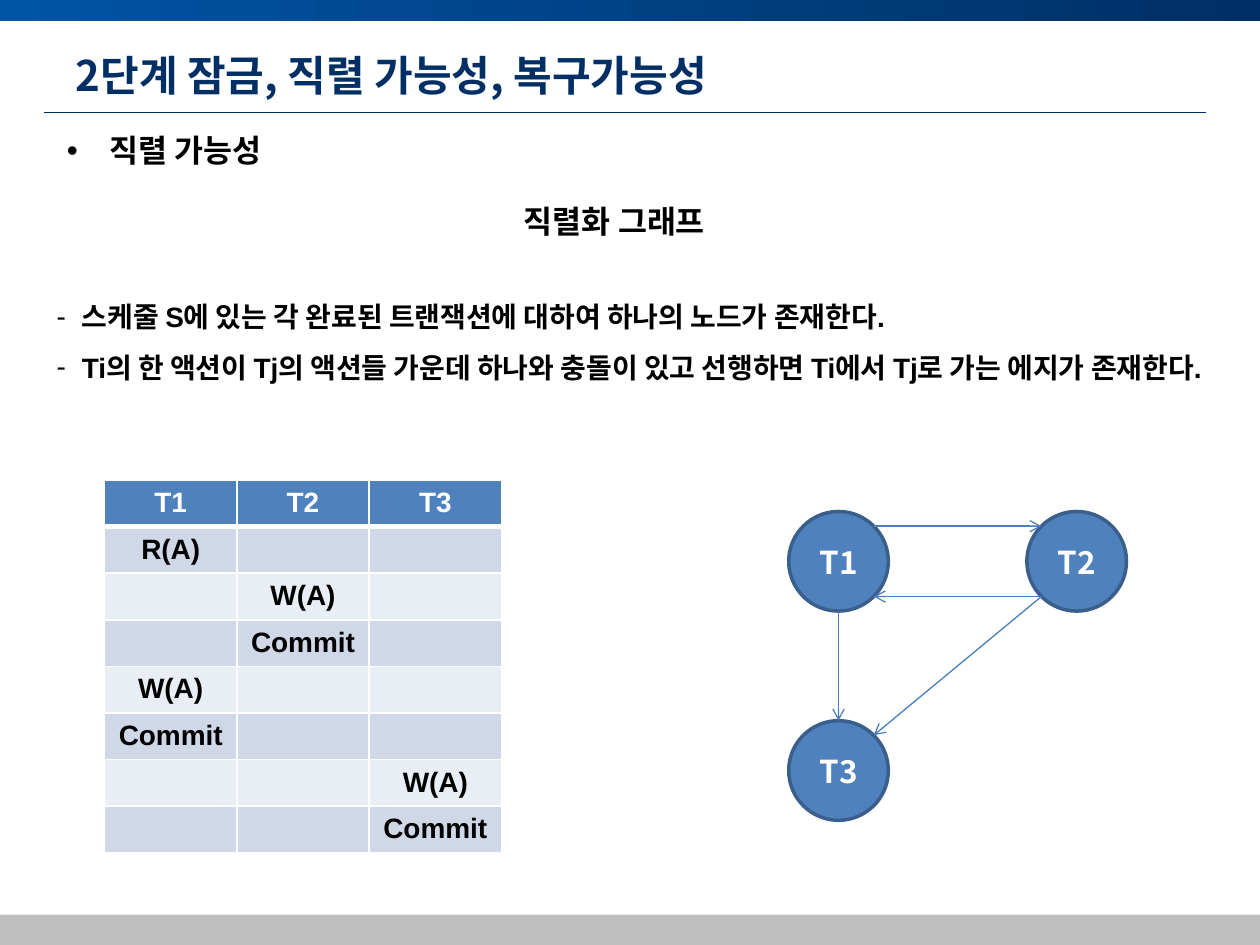
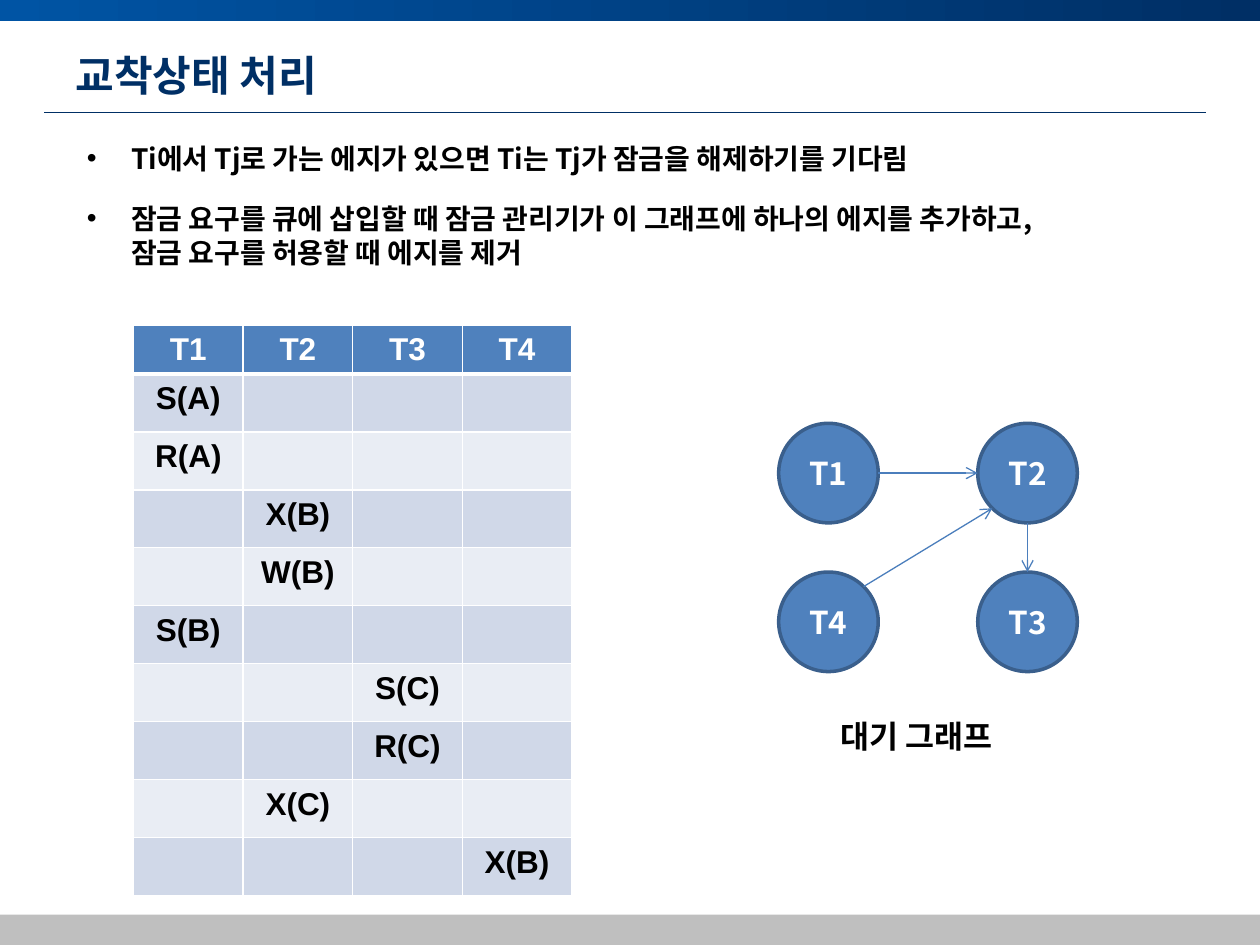
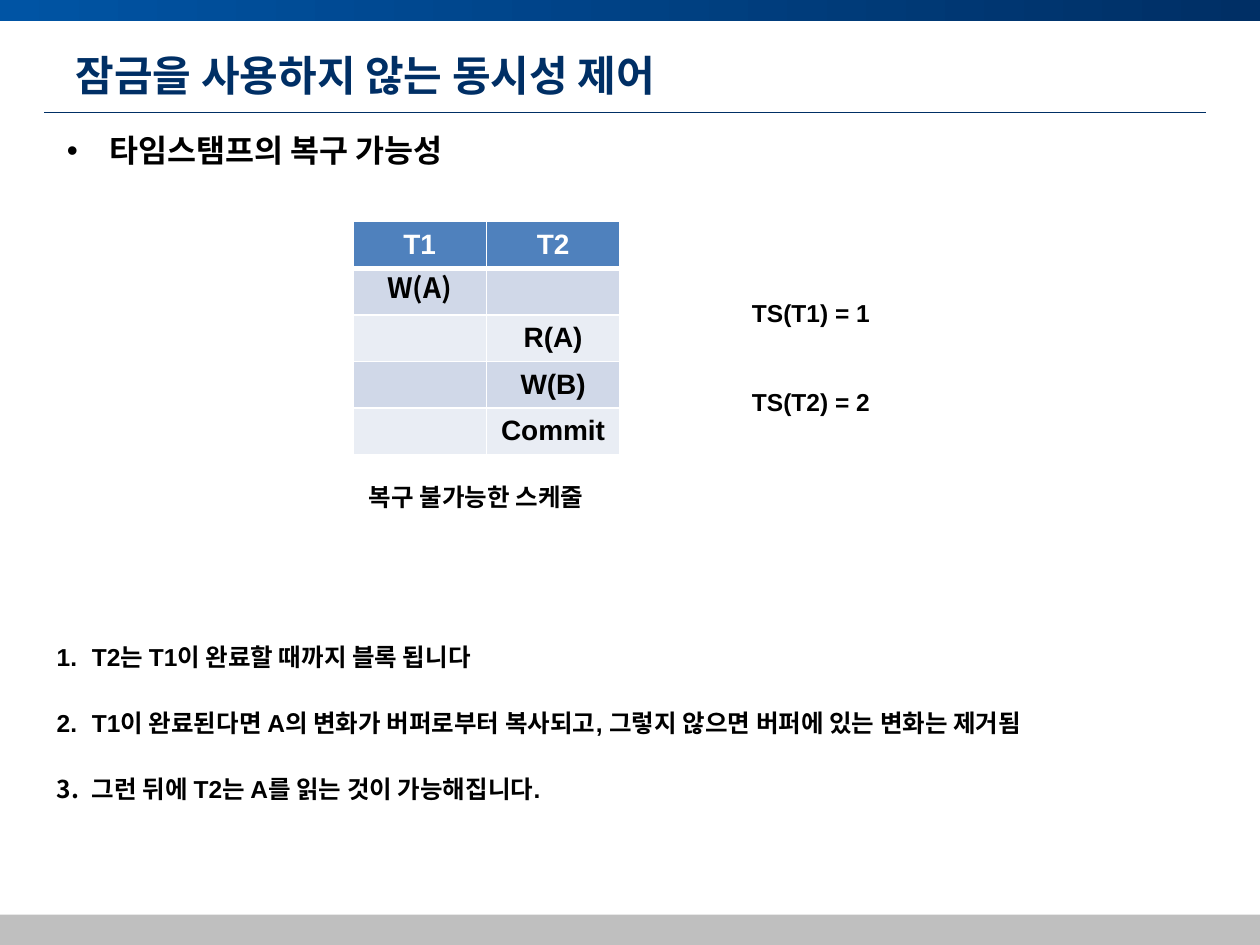
from math import cos, pi, sin
from lxml.etree import SubElement
from pptx import Presentation
from pptx.dml.color import RGBColor
from pptx.enum.shapes import MSO_CONNECTOR, MSO_SHAPE
from pptx.enum.text import MSO_ANCHOR, MSO_AUTO_SIZE, PP_ALIGN
from pptx.oxml import parse_xml
from pptx.oxml.ns import nsdecls, qn
from pptx.util import Inches, Pt

LEFT, CENTER = PP_ALIGN.LEFT, PP_ALIGN.CENTER
MIDDLE, FIXED = MSO_ANCHOR.MIDDLE, MSO_AUTO_SIZE.NONE
RECT, OVAL = MSO_SHAPE.RECTANGLE, MSO_SHAPE.OVAL
STRAIGHT = MSO_CONNECTOR.STRAIGHT

NOTO, ARIAL = "Noto Sans CJK KR", "Arial"
NAVY, BLUE, GRAY = "002F65", "0054A4", "BFBFBF"
HEAD, ODD, EVEN = "4F81BD", "D0D8E8", "E9EDF4"
RIM, EDGE, BLACK, WHITE = "3A5F8C", "4B7EBC", "000000", "FFFFFF"
DIAM = 0.79
DOT = '<a:buChar %s char="\u2022"/>'
DASH = '<a:buChar %s char="-"/>'
NUM = '<a:buAutoNum %s type="arabicPeriod"/>'


def paint(code):
    return RGBColor.from_string(code)


def write(para, text, size, color=BLACK, font=ARIAL, line=1.21, align=LEFT, gap=0):
    para.alignment = align
    para.line_spacing = Pt(round(size * line, 1))
    para.space_before = Pt(gap)
    para.space_after = Pt(0)
    for i, part in enumerate(text.split("\n")):
        if i:
            para.add_line_break()
        run = para.add_run()
        run.text = part
        run.font.size = Pt(size)
        run.font.bold = True
        run.font.name = font
        run.font.color.rgb = paint(color)


pages = [
    {
        "title": "2단계 잠금, 직렬 가능성, 복구가능성",
        "lists": [
            {"at": (0.43, 0.99, 4.06, 0.4), "mark": DOT, "hang": 0.34, "size": 18,
             "font": ARIAL, "line": 1.21, "gap": 0, "items": ["직렬 가능성"]},
            {"at": (0.35, 2.2, 9.29, 1.31), "mark": DASH, "hang": 0.2, "size": 16,
             "font": ARIAL, "line": 1.79, "gap": 0, "items": [
                 "스케줄 S에 있는 각 완료된 트랜잭션에 대하여 하나의 노드가 존재한다.",
                 "Ti의 한 액션이 Tj의 액션들 가운데 하나와 충돌이 있고 선행하면 "
                 "Ti에서 Tj로 가는 에지가 존재한다."]},
        ],
        "notes": [((4.06, 1.55, 2.68, 0.4), 18, 1.21, 0, ["직렬화 그래프"])],
        "table": {"at": (0.83, 3.81), "col": 1.05, "top": 0.37, "row": 0.37, "size": 16,
                  "cols": 3, "steps": [(0, "R(A)"), (1, "W(A)"), (1, "Commit"), (0, "W(A)"),
                                       (0, "Commit"), (2, "W(A)"), (2, "Commit")]},
        "nodes": {"T1": (6.26, 4.06), "T3": (6.26, 5.72), "T2": (8.15, 4.06)},
        "edges": [("T1", 7, "T2", 1), ("T2", 3, "T3", 7), ("T2", 3, "T1", 5),
                  ("T1", 4, "T3", 0)],
    },
    {
        "title": "교착상태 처리",
        "lists": [
            {"at": (0.59, 1.07, 8.66, 1.12), "mark": DOT, "hang": 0.35, "size": 16,
             "font": NOTO, "line": 1.21, "gap": 15, "items": [
                 "Ti에서 Tj로 가는 에지가 있으면 Ti는 Tj가 잠금을 해제하기를 기다림",
                 "잠금 요구를 큐에 삽입할 때 잠금 관리기가 이 그래프에 하나의 에지를 추가하고,\n"
                 "잠금 요구를 허용할 때 에지를 제거"]},
        ],
        "notes": [((6.57, 5.64, 1.65, 0.4), 18, 1.21, 0, ["대기 그래프"])],
        "table": {"at": (1.06, 2.58), "col": 0.87, "top": 0.38, "row": 0.46, "size": 18,
                  "cols": 4, "steps": [(0, "S(A)"), (0, "R(A)"), (1, "X(B)"), (1, "W(B)"),
                                       (0, "S(B)"), (2, "S(C)"), (2, "R(C)"), (1, "X(C)"),
                                       (3, "X(B)")]},
        "nodes": {"T1": (6.18, 3.36), "T3": (7.76, 4.54), "T2": (7.76, 3.36),
                  "T4": (6.18, 4.54)},
        "edges": [("T1", 6, "T2", 2), ("T4", 7, "T2", 3), ("T2", 4, "T3", 0)],
    },
    {
        "title": "잠금을 사용하지 않는 동시성 제어",
        "lists": [
            {"at": (0.43, 0.99, 4.49, 0.4), "mark": DOT, "hang": 0.34, "size": 18,
             "font": ARIAL, "line": 1.21, "gap": 0, "items": ["타임스탬프의 복구 가능성"]},
            {"at": (0.35, 4.93, 9.2, 1.5), "mark": NUM, "hang": 0.28, "size": 14,
             "font": ARIAL, "line": 1.79, "gap": 12.5, "items": [
                 "T2는 T1이 완료할 때까지 블록 됩니다",
                 "T1이 완료된다면 A의 변화가 버퍼로부터 복사되고, "
                 "그렇지 않으면 버퍼에 있는 변화는 제거됨",
                 "그런 뒤에 T2는 A를 읽는 것이 가능해집니다."]},
        ],
        "notes": [((2.83, 3.66, 2.48, 0.41), 14, 1.79, 0, ["복구 불가능한 스케줄"]),
                  ((5.87, 2.2, 3.23, 1.16), 14, 1.79, 26, ["TS(T1) = 1", "TS(T2) = 2"])],
        "table": {"at": (2.8, 1.76), "col": 1.06, "top": 0.37, "row": 0.37, "size": 16,
                  "cols": 2, "first": NOTO,
                  "steps": [(0, "W(A)"), (1, "R(A)"), (1, "W(B)"), (1, "Commit")]},
        "nodes": {},
        "edges": [],
    },
]

deck = Presentation()
deck.slide_width = Inches(10)
deck.slide_height = Inches(7.5)

for page in pages:
    layout = deck.slide_layouts[3 if len(page["lists"]) == 2 else 1]
    slide = deck.slides.add_slide(layout)
    shapes = slide.shapes

    if page is pages[0]:
        band = shapes.add_shape(RECT, 0, 0, Inches(10), Inches(0.17))
        band.fill.gradient()
        band.fill.gradient_angle = 0
        for stop, code in zip(band.fill.gradient_stops, (BLUE, NAVY)):
            stop.color.rgb = paint(code)
        foot = shapes.add_shape(RECT, 0, Inches(7.26), Inches(10), Inches(0.25))
        foot.fill.solid()
        foot.fill.fore_color.rgb = paint(GRAY)
        for bar in (band, foot):
            bar.line.fill.background()
            bar.shadow.inherit = False
        rule = shapes.add_connector(STRAIGHT, Inches(0.35), Inches(0.89),
                                    Inches(9.57), Inches(0.89))
        rule.line.color.rgb = paint(NAVY)
        rule.line.width = Pt(0.5)
        SubElement(rule.element.spPr, qn("a:effectLst"))
        for i, part in enumerate((band, rule, foot)):
            part.element.find(".//" + qn("p:cNvPr")).set("id", str(20 + i))
            deck.slide_master.shapes.element.insert(2 + i, part.element)

    title = shapes.title
    title.left, title.top, title.width, title.height = map(Inches, (0.5, 0.3, 9, 0.58))
    title.text_frame.auto_size = FIXED
    title.text_frame.vertical_anchor = MIDDLE
    write(title.text_frame.paragraphs[0], page["title"], 24, NAVY, NOTO)

    for i, group in enumerate(page["lists"]):
        body = slide.placeholders[i + 1]
        body.left, body.top, body.width, body.height = map(Inches, group["at"])
        frame = body.text_frame
        frame.auto_size = FIXED
        for j, item in enumerate(group["items"]):
            para = frame.add_paragraph() if j else frame.paragraphs[0]
            write(para, item, group["size"], font=group["font"], line=group["line"],
                  gap=group["gap"] if j else 0)
        for prop in body.element.iter(qn("a:pPr")):
            prop.set("marL", str(Inches(group["hang"])))
            prop.set("indent", str(-Inches(group["hang"])))
            prop.append(parse_xml(group["mark"] % nsdecls("a")))

    for spot, size, line, gap, texts in page["notes"]:
        frame = shapes.add_textbox(*map(Inches, spot)).text_frame
        frame.word_wrap = True
        for j, text in enumerate(texts):
            para = frame.add_paragraph() if j else frame.paragraphs[0]
            write(para, text, size, line=line, gap=gap if j else 0)

    plan = page["table"]
    cols, steps = plan["cols"], plan["steps"]
    x, y = plan["at"]
    high = plan["top"] + plan["row"] * len(steps)
    grid = shapes.add_table(len(steps) + 1, cols, Inches(x), Inches(y),
                            Inches(plan["col"] * cols), Inches(high))
    for col in grid.table.columns:
        col.width = Inches(plan["col"])
    for i, row in enumerate(grid.table.rows):
        row.height = Inches(plan["row"] if i else plan["top"])
        for j, cell in enumerate(row.cells):
            cell.fill.solid()
            cell.fill.fore_color.rgb = paint((ODD if i % 2 else EVEN) if i else HEAD)
            para = cell.text_frame.paragraphs[0]
            if i == 0:
                write(para, f"T{j + 1}", plan["size"], WHITE, line=1.15, align=CENTER)
            elif steps[i - 1][0] == j:
                font = plan.get("first", ARIAL) if i == 1 else ARIAL
                write(para, steps[i - 1][1], plan["size"], font=font, line=1.15,
                      align=CENTER)
    for para in grid.element.iter(qn("a:p")):
        if para.find(qn("a:r")) is None:
            SubElement(para, qn("a:endParaRPr"), sz="1200")
    for i, prop in enumerate(grid.element.iter(qn("a:tcPr"))):
        for j, side in enumerate("LRTB"):
            thick = 3 if (i < cols and side == "B") or (cols <= i < 2 * cols and side == "T") else 1
            prop.insert(j, parse_xml(
                f'<a:ln{side} {nsdecls("a")} w="{Pt(thick)}"><a:solidFill>'
                f'<a:srgbClr val="{WHITE}"/></a:solidFill></a:ln{side}>'))

    for name, (x, y) in page["nodes"].items():
        node = shapes.add_shape(OVAL, *map(Inches, (x, y, DIAM, DIAM)))
        node.shadow.inherit = False
        node.fill.solid()
        node.fill.fore_color.rgb = paint(HEAD)
        node.line.color.rgb = paint(RIM)
        node.line.width = Pt(2)
        node.text_frame.vertical_anchor = MIDDLE
        write(node.text_frame.paragraphs[0], name, 18, WHITE, NOTO, align=CENTER)

    for start, out, end, into in page["edges"]:
        ends = []
        for name, site in ((start, out), (end, into)):
            x, y = page["nodes"][name]
            turn = site * pi / 4
            ends += [Inches(x + DIAM / 2 * (1 - sin(turn))),
                     Inches(y + DIAM / 2 * (1 - cos(turn)))]
        link = shapes.add_connector(STRAIGHT, *ends)
        link.line.color.rgb = paint(EDGE)
        link.line.width = Pt(0.75)
        SubElement(link.element.find(".//" + qn("a:ln")), qn("a:tailEnd"), type="arrow")
        SubElement(link.element.spPr, qn("a:effectLst"))

    for prop in slide.element.iter(qn("a:rPr")):
        if prop.find(qn("a:latin")) is not None:
            SubElement(prop, qn("a:ea"), typeface=NOTO)

deck.save("out.pptx")
